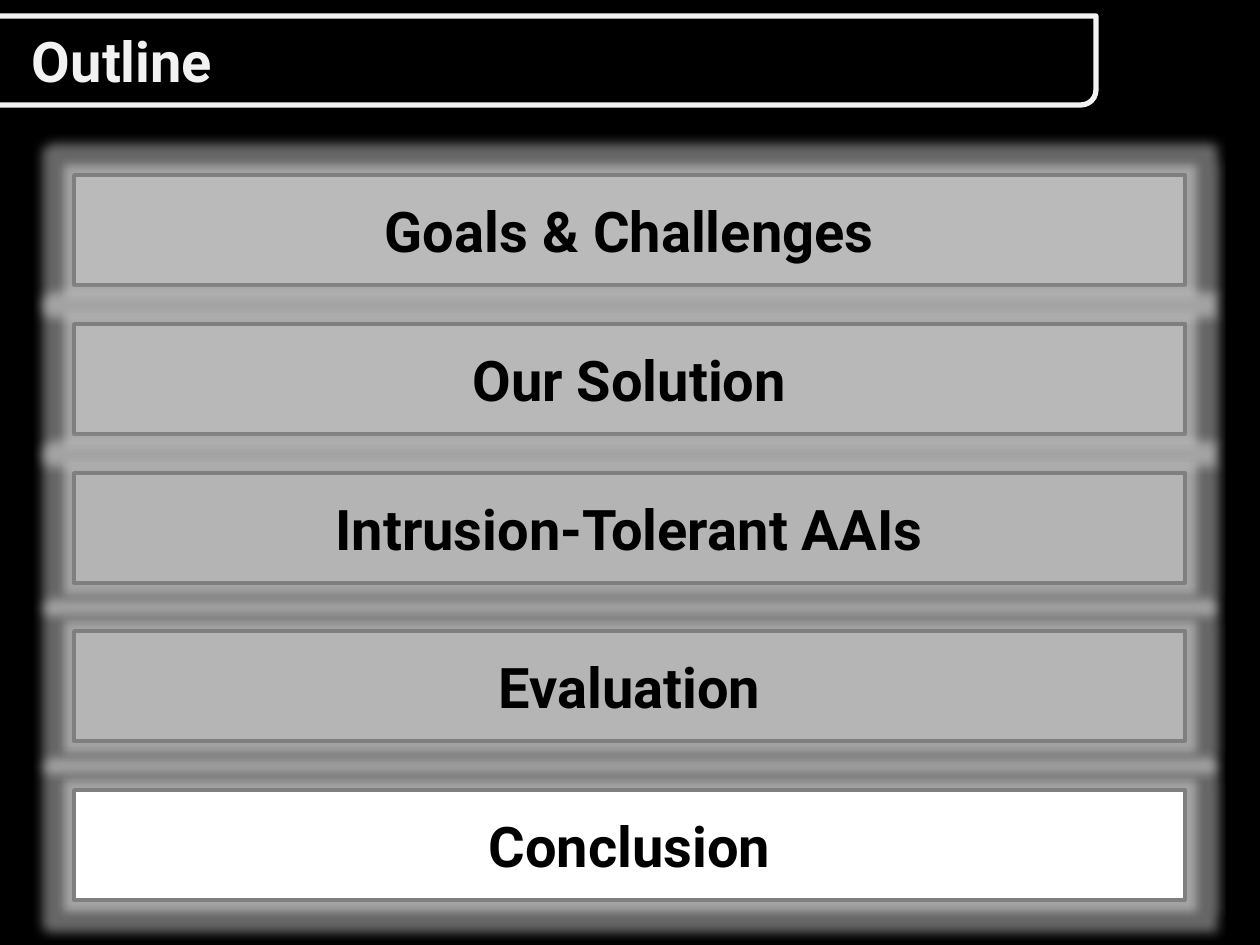
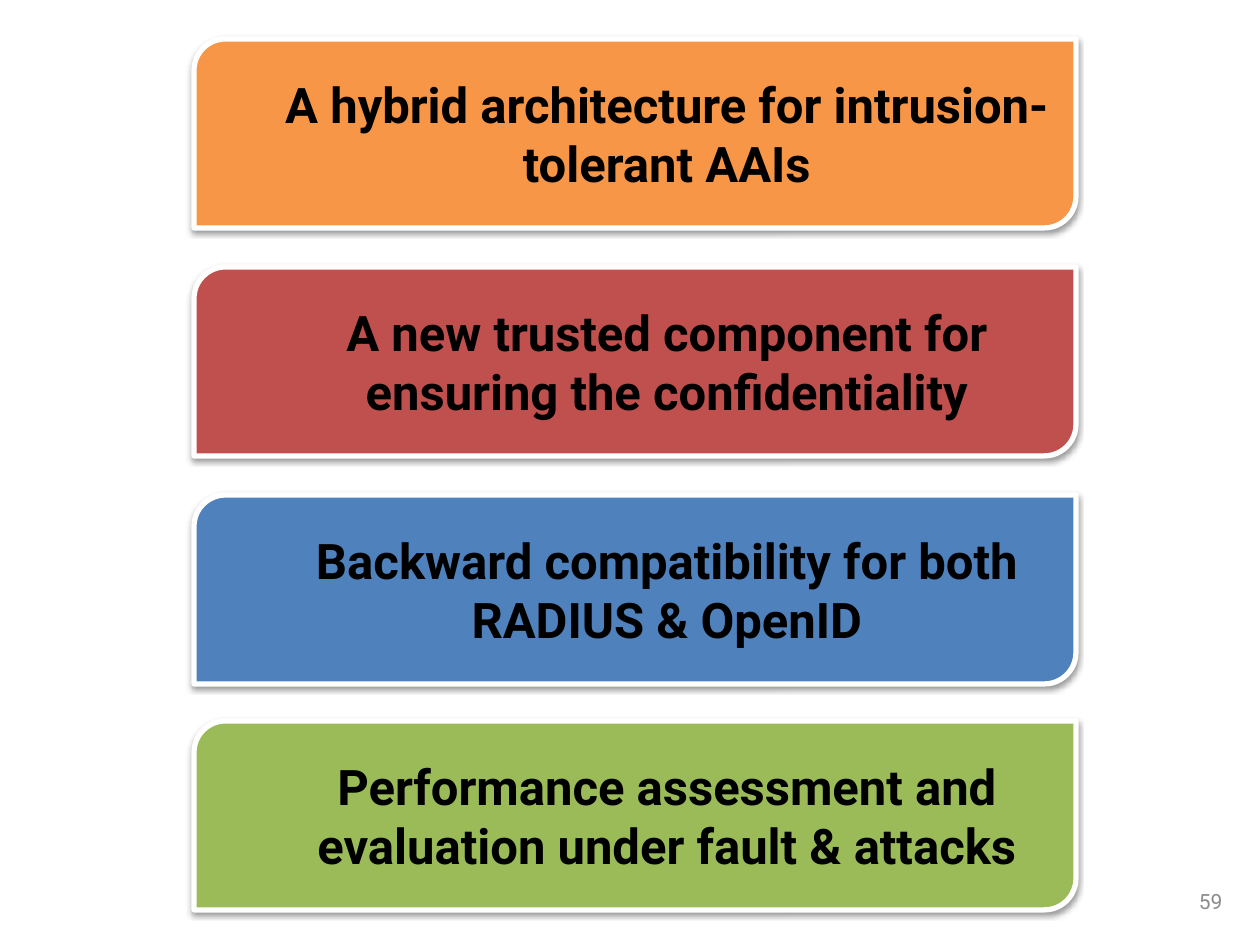
from lxml.etree import SubElement
from pptx import Presentation
from pptx.dml.color import RGBColor
from pptx.enum.shapes import MSO_SHAPE
from pptx.enum.text import MSO_ANCHOR, MSO_AUTO_SIZE, PP_ALIGN
from pptx.oxml.ns import qn
from pptx.util import Emu, Pt

PX = 914400 / 126
FONT = "Roboto"
BLACK = RGBColor(0x00, 0x00, 0x00)
WHITE = RGBColor(0xFF, 0xFF, 0xFF)
PALE = RGBColor(0xF2, 0xF2, 0xF2)
BORDER_GRAY = RGBColor(0x7F, 0x7F, 0x7F)
NUMBER_GRAY = RGBColor(0x8C, 0x8C, 0x8C)
ORANGE = RGBColor(0xF7, 0x96, 0x46)
RED = RGBColor(0xC0, 0x50, 0x4D)
BLUE = RGBColor(0x4F, 0x81, 0xBD)
GREEN = RGBColor(0x9B, 0xBB, 0x59)

TITLE_BAR = (-48, 16, 1144, 89)
TEXT_INDENT = 76
SECTION_COLUMN = (74, 175, 1111, 110)
SECTIONS = [
    ("Goals & Challenges", 0, 25),
    ("Our Solution", 149, 23),
    ("Intrusion-Tolerant AAIs", 298, 19),
    ("Evaluation", 456, 20),
    ("Conclusion", 615, 100),
]
CARD_COLUMN = (194, 39, 882, 189)
CONTRIBUTIONS = [
    ("A hybrid architecture for intrusion-tolerant AAIs", 0, ORANGE),
    ("A new trusted component for ensuring the confidentiality", 228, RED),
    ("Backward compatibility for both RADIUS & OpenID", 456, BLUE),
    ("Performance assessment and evaluation under fault & attacks", 682, GREEN),
]


def px(length):
    """Turn whole pixels into EMU."""
    return Emu(round(length * PX))


def add_page(deck, layout, background):
    """Add a slide with a plain background."""
    page = deck.slides.add_slide(deck.slide_layouts.get_by_name(layout))
    page.background.fill.solid()
    page.background.fill.fore_color.rgb = background
    return page


def write(box, text, size, color, bold=True, align=PP_ALIGN.CENTER, indent=None):
    """Write one vertically centred paragraph in a box."""
    frame = box.text_frame
    frame.word_wrap = True
    frame.auto_size = MSO_AUTO_SIZE.NONE
    frame.vertical_anchor = MSO_ANCHOR.MIDDLE
    if indent is not None:
        frame.margin_left = px(indent)
    para = frame.paragraphs[0]
    para.alignment = align
    span = para.add_run()
    span.text = text
    span.font.name = FONT
    span.font.size = Pt(size)
    span.font.bold = bold
    span.font.color.rgb = color


def add_panel(page, kind, area, fill, line, line_width):
    """Add a filled, outlined shape without effects."""
    panel = page.shapes.add_shape(kind, *map(px, area))
    panel.fill.solid()
    panel.fill.fore_color.rgb = fill
    panel.line.color.rgb = line
    panel.line.width = Pt(line_width)
    panel.shadow.inherit = False
    return panel


def set_alpha(color, percent):
    """Set the opacity of a colour element."""
    SubElement(color, qn("a:alpha"), val=str(percent * 1000))


def add_effect(panel, name, color, alpha, **settings):
    """Add a glow or a shadow to a panel."""
    effects = panel.element.spPr.find(qn("a:effectLst"))
    effect = SubElement(effects, qn(name), **settings)
    set_alpha(SubElement(effect, qn("a:srgbClr"), val=str(color)), alpha)


def add_title(page, area, text):
    """Draw the title bar and place the title on it."""
    add_panel(page, MSO_SHAPE.ROUND_2_DIAG_RECTANGLE, area, BLACK, PALE, 3)
    title = page.shapes.title
    title.left, title.top, title.width, title.height = map(px, area)
    write(title, text, 32, PALE, align=PP_ALIGN.LEFT, indent=TEXT_INDENT + 4)
    page.shapes.element.append(title.element)


def add_section(page, area, text, opacity):
    """Add one glowing section of the outline."""
    section = add_panel(page, MSO_SHAPE.RECTANGLE, area, WHITE, BORDER_GRAY, 2)
    if opacity < 100:
        fill = section.element.spPr.find(qn("a:solidFill"))
        set_alpha(fill.find(qn("a:srgbClr")), opacity)
    add_effect(section, "a:glow", WHITE, 40, rad=str(Pt(11)))
    write(section, text, 32, BLACK)


def add_card(page, area, text, color):
    """Add one coloured contribution card with a shadow."""
    card = add_panel(page, MSO_SHAPE.ROUND_2_DIAG_RECTANGLE, area, color, WHITE, 3)
    add_effect(card, "a:outerShdw", BLACK, 38, blurRad=str(Pt(3.1)),
               dist=str(Pt(1.6)), dir="5400000", rotWithShape="0")
    write(card, text, 28, BLACK, indent=TEXT_INDENT)


def add_page_number(page, area, number):
    """Add the page number at the lower right."""
    box = page.shapes.add_textbox(*map(px, area))
    write(box, number, 12, NUMBER_GRAY, bold=False, align=PP_ALIGN.RIGHT)


def stack(page, column, items, add_item):
    """Place items down a column at their offsets."""
    left, top, width, height = column
    for text, offset, style in items:
        add_item(page, (left, top + offset, width, height), text, style)


def outline_slide(deck):
    """Build the outline with the current section lit."""
    page = add_page(deck, "Title Only", BLACK)
    add_title(page, TITLE_BAR, "Outline")
    stack(page, SECTION_COLUMN, SECTIONS, add_section)


def contributions_slide(deck):
    """Build the summary of contributions."""
    page = add_page(deck, "Blank", WHITE)
    add_page_number(page, (941, 876, 294, 50), "59")
    stack(page, CARD_COLUMN, CONTRIBUTIONS, add_card)


def main():
    """Build and save the deck."""
    deck = Presentation()
    deck.slide_width, deck.slide_height = px(1260), px(945)
    outline_slide(deck)
    contributions_slide(deck)
    deck.save("out.pptx")


if __name__ == "__main__":
    main()
